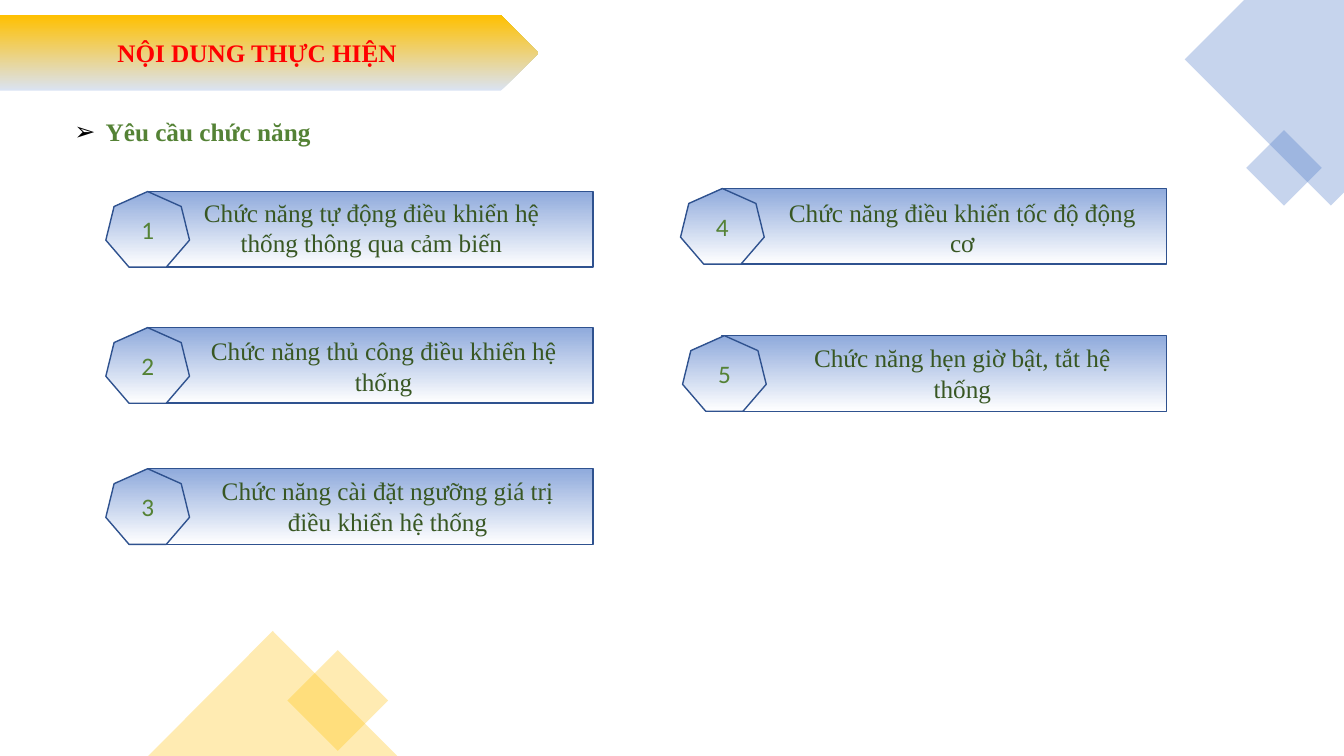
"""Builds the slide of functional requirements with five numbered panels."""
import pptx
import pptx.dml.color
import pptx.enum.shapes
import pptx.enum.text
import pptx.oxml
import pptx.oxml.ns
import pptx.util

INCH = pptx.util.Inches
SHAPE = pptx.enum.shapes.MSO_SHAPE
ALIGN = pptx.enum.text.PP_ALIGN
RGB = pptx.dml.color.RGBColor.from_string
THEME = {
    "blue": "4472C4", "gold": "FFC000", "outline": "2F528F", "alpha": 30000,
    "panel": ("FFFFFF", "8FAADC"), "banner": ("DAE3F3", "FFC000"),
    "title": {"name": "Times New Roman", "size": 18, "bold": True, "color": "FF0000"},
    "heading": {"name": "Times New Roman", "size": 18, "bold": True, "color": "548235"},
    "label": {"name": "Times New Roman", "size": 18, "bold": False, "color": "385723"},
    "number": {"name": "Calibri", "size": 18, "bold": False, "color": "548235"},
}


def paint(shape, fill, line=None):
    """Fill with a pair of colours as an upward gradient, or one colour as a tint."""
    shape.shadow.inherit = False
    if isinstance(fill, tuple):
        shape.fill.gradient()
        shape.fill.gradient_angle = 90
        for stop, color in zip(shape.fill.gradient_stops, fill):
            stop.color.rgb = RGB(color)
    else:
        shape.fill.solid()
        shape.fill.fore_color.rgb = RGB(fill)
        tint = shape.fill._xPr.find(".//" + pptx.oxml.ns.qn("a:srgbClr"))
        tint.append(pptx.oxml.parse_xml(
            f'<a:alpha {pptx.oxml.ns.nsdecls("a")} val="{THEME["alpha"]}"/>'))
    if line:
        shape.line.color.rgb = RGB(line)
        shape.line.width = pptx.util.Pt(1)
    else:
        shape.line.fill.background()
    return shape


def write(box, text, style, align=ALIGN.CENTER):
    """Put one styled paragraph in a box and return the paragraph."""
    box.text_frame.word_wrap = True
    para = box.text_frame.paragraphs[0]
    para.alignment = align
    span = para.add_run()
    span.text = text
    formats = {**THEME[style], "size": pptx.util.Pt(THEME[style]["size"])}
    span.font.color.rgb = RGB(formats.pop("color"))
    for name, value in formats.items():
        setattr(span.font, name, value)
    return para


deck = pptx.Presentation()
deck.slide_width, deck.slide_height = INCH(13.33), INCH(7.5)
page = deck.slides.add_slide(deck.slide_layouts[6])
shapes = page.shapes

corner = [(13.33, 0), (12.34, 0), (11.75, 0.59), (13.2, 2.04), (13.33, 1.91)]
points = [(INCH(x), INCH(y)) for x, y in corner]
builder = shapes.build_freeform(*points[0], scale=1.0)
builder.add_line_segments(points[1:], close=True)
paint(builder.convert_to_shape(), THEME["blue"])

ornaments = [
    (SHAPE.DIAMOND, 12.36, 1.29, 0.75, 0.75, "blue"),
    (SHAPE.DIAMOND, 2.85, 6.45, 1, 1, "gold"),
    (SHAPE.ISOSCELES_TRIANGLE, 1.47, 6.26, 2.47, 1.24, "gold"),
    (SHAPE.PENTAGON, 0, 0.15, 5.34, 0.75, "banner"),
]
for kind, *place, fill in ornaments:
    paint(shapes.add_shape(kind, *map(INCH, place)), THEME[fill])

title = shapes.add_textbox(*map(INCH, (0.2, 0.32, 4.7, 0.4)))
write(title, "NỘI DUNG THỰC HIỆN", "title")

heading = shapes.add_textbox(*map(INCH, (0.64, 1.11, 2.73, 0.4)))
para = write(heading, "Yêu cầu chức năng", "heading", ALIGN.LEFT)
properties = para._p.get_or_add_pPr()
properties.set("marL", str(INCH(0.31)))
properties.set("indent", str(-INCH(0.31)))
for bullet in ('buClr><a:srgbClr val="000000"/></a:buClr',
               'buFont typeface="Arial"/', 'buChar char="➢"/'):
    tag = bullet.replace("buClr>", f'buClr {pptx.oxml.ns.nsdecls("a")}>', 1)
    tag = tag.replace(" ", f' {pptx.oxml.ns.nsdecls("a")} ', 1) if tag == bullet else tag
    properties.append(pptx.oxml.parse_xml(f"<a:{tag}>"))

panel_width, row_height, badge_width, label_width = 4.41, 0.75, 0.83, 3.73
functions = [
    (1.47, 1.05, 1.82, 1.9, 1.91, "Chức năng tự động điều khiển hệ thống thông qua cảm biến"),
    (1.47, 1.05, 1.94, 3.25, 3.28, "Chức năng thủ công điều khiển hệ thống"),
    (1.47, 1.05, 1.98, 4.65, 4.67, "Chức năng cài đặt ngưỡng giá trị điều khiển hệ thống"),
    (7.16, 6.75, 7.68, 1.87, 1.91, "Chức năng điều khiển tốc độ động cơ"),
    (7.16, 6.77, 7.68, 3.33, 3.35, "Chức năng hẹn giờ bật, tắt hệ thống"),
]
for number, (panel_left, badge_left, label_left, top, label_top, text) in enumerate(functions, 1):
    for kind, left, width in ((SHAPE.RECTANGLE, panel_left, panel_width),
                              (SHAPE.HEPTAGON, badge_left, badge_width)):
        badge = shapes.add_shape(kind, *map(INCH, (left, top, width, row_height)))
        paint(badge, THEME["panel"], THEME["outline"])
    badge.text_frame.vertical_anchor = pptx.enum.text.MSO_ANCHOR.MIDDLE
    write(badge, str(number), "number")
    label = shapes.add_textbox(*map(INCH, (label_left, label_top, label_width, 0.71)))
    write(label, text, "label")

deck.save("out.pptx")
